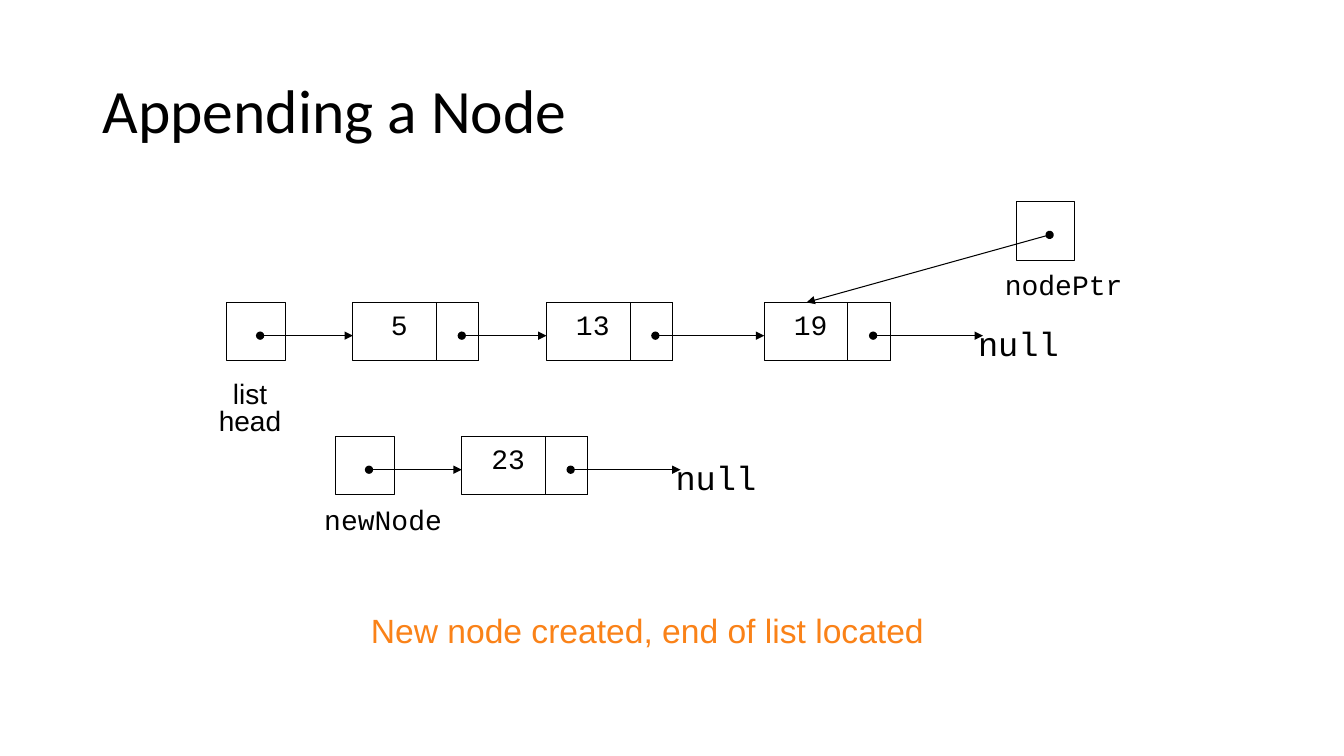
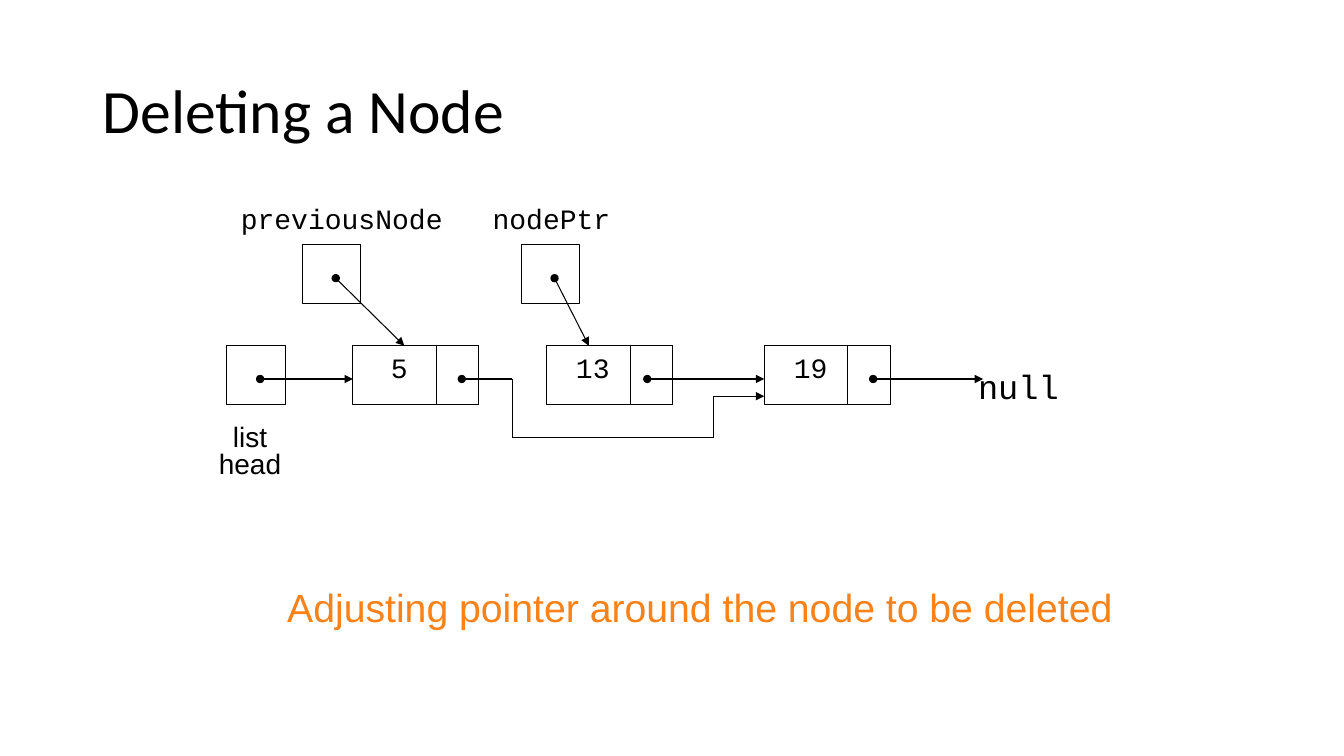
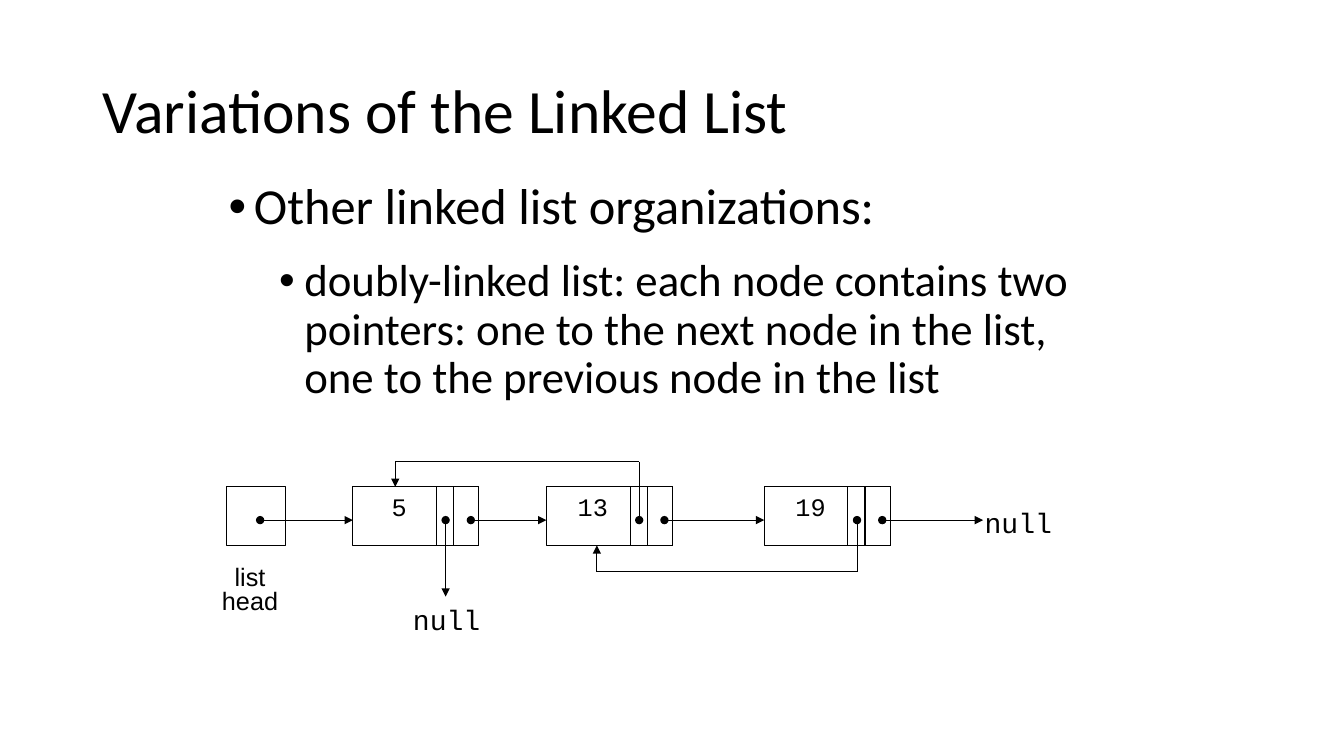
from dataclasses import dataclass
from itertools import pairwise

from lxml import etree
from pptx import Presentation
from pptx import util as u
from pptx.dml.color import RGBColor
from pptx.enum import shapes, text
from pptx.oxml.ns import qn


@dataclass(frozen=True)
class Theme:
    ink: RGBColor = RGBColor(0x00, 0x00, 0x00)
    accent: RGBColor = RGBColor(0xFA, 0x82, 0x18)
    heading: str = "Calibri"
    plain: str = "Arial"
    code: str = "Courier New"
    title_size: int = 44
    bullet_sizes: tuple = (36, 32)
    caption_sizes: tuple = (24, 28)
    null_size: int = 24
    label_size: int = 20
    small_size: int = 18
    line_width: float = 0.75


# Node geometry in inches
BOX = 0.58
NODE_WIDTH = 1.25
LINK_WIDTH = 0.42
BACK_WIDTH = 0.17
DOT = 0.33
HEAD_LEFT = 2.25
NODES = {"5": 3.5, "13": 5.42, "19": 7.58}
NULL_END = 9.75


def apply_formats(target, formats):
    for name, value in formats.items():
        setattr(target, name, value)


class Deck:
    """Holds the style and the slide being drawn."""

    def __init__(self, theme):
        self.theme = theme
        self.presentation = Presentation()
        apply_formats(self.presentation, {"slide_width": u.Inches(13.33),
                                          "slide_height": u.Inches(7.5)})
        self.slide = None

    def new_slide(self, title):
        self.slide = self.presentation.slides.add_slide(
            self.presentation.slide_layouts[6])
        frame = self.frame(0.92, 0.4, 11.5, 1.45, word_wrap=True,
                           vertical_anchor=text.MSO_ANCHOR.MIDDLE)
        self.fill_paragraph(frame.paragraphs[0], title, self.theme.heading,
                            self.theme.title_size, line_spacing=0.9)

    # Text
    def frame(self, left, top, width, height, **formats):
        shape = self.slide.shapes.add_textbox(
            *map(u.Inches, (left, top, width, height)))
        apply_formats(shape.text_frame, formats)
        return shape.text_frame

    def fill_paragraph(self, paragraph, words, font, size, color=None, **formats):
        paragraph.text = words
        apply_formats(paragraph, formats)
        apply_formats(paragraph.font, {"name": font, "size": u.Pt(size)})
        paragraph.font.color.rgb = color or self.theme.ink

    def label(self, lines, center, top, width, size, font=None, spacing=0.8):
        frame = self.frame(center - width / 2, top, width, 0.4, word_wrap=False,
                           auto_size=text.MSO_AUTO_SIZE.SHAPE_TO_FIT_TEXT)
        for index, line in enumerate(lines):
            paragraph = frame.add_paragraph() if index else frame.paragraphs[0]
            self.fill_paragraph(paragraph, line, font or self.theme.code, size,
                                alignment=text.PP_ALIGN.CENTER, line_spacing=spacing)

    def caption(self, words, left, top, width, size, spacing=1.0):
        frame = self.frame(left, top, width, 0.5, word_wrap=False,
                           auto_size=text.MSO_AUTO_SIZE.SHAPE_TO_FIT_TEXT)
        self.fill_paragraph(frame.paragraphs[0], words, self.theme.plain, size,
                            self.theme.accent, line_spacing=spacing)

    def bullets(self, items, left, top, width, height):
        frame = self.frame(left, top, width, height, word_wrap=True)
        for level, words in enumerate(items):
            paragraph = frame.add_paragraph() if level else frame.paragraphs[0]
            size = self.theme.bullet_sizes[level]
            properties = paragraph._p.get_or_add_pPr()
            properties.set("marL", str(u.Inches(0.25 + 0.5 * level)))
            properties.set("indent", str(u.Inches(-0.25)))
            etree.SubElement(properties, qn("a:buFont"), typeface=self.theme.plain)
            etree.SubElement(properties, qn("a:buChar"), char="•")
            self.fill_paragraph(paragraph, words, self.theme.heading, size,
                                level=level, line_spacing=0.9,
                                space_before=u.Pt(size / 2 if level else 0))

    # Boxes and arrows
    def box(self, left, top, width=BOX):
        shape = self.slide.shapes.add_shape(
            shapes.MSO_SHAPE.RECTANGLE, *map(u.Inches, (left, top, width, BOX)))
        shape.shadow.inherit = False
        shape.fill.background()
        self.outline(shape)

    def outline(self, shape):
        shape.line.width = u.Pt(self.theme.line_width)
        shape.line.color.rgb = self.theme.ink

    def arrow(self, *points):
        """Straight segments: a dot at the first point, an arrowhead at the last."""
        segments = list(pairwise(points))
        for index, (start, end) in enumerate(segments):
            connector = self.slide.shapes.add_connector(
                shapes.MSO_CONNECTOR.STRAIGHT, *map(u.Inches, (*start, *end)))
            self.outline(connector)
            properties = connector.element.spPr
            line = properties.find(qn("a:ln"))
            if index == 0:
                etree.SubElement(line, qn("a:headEnd"), type="oval")
            if index == len(segments) - 1:
                etree.SubElement(line, qn("a:tailEnd"), type="triangle")
            etree.SubElement(properties, qn("a:effectLst"))

    # Linked list parts
    def node(self, value, left, top, size, double=False):
        link = left + NODE_WIDTH - LINK_WIDTH
        self.box(left, top, NODE_WIDTH)
        self.box(link, top, LINK_WIDTH)
        if double:
            self.box(link, top, BACK_WIDTH)
        self.label([value], left + 0.46, top, 0.54, size, spacing=1.0)

    def pointer(self, left, top, end):
        self.box(left, top)
        self.arrow((left + DOT, top + DOT), end)

    def null(self, center, top, size):
        self.label(["null"], center, top, 1.01, size, spacing=1.2)

    def linked_list(self, top, size, null_size, double=False, links=("5", "13", "19")):
        """The three-node list; links names the nodes with a straight arrow onward."""
        middle = top + DOT
        self.pointer(HEAD_LEFT, top, (NODES["5"], middle))
        self.label(["list", "head"], 2.48, top + 0.75, 0.83, size, self.theme.plain)
        ends = [*list(NODES.values())[1:], NULL_END]
        for (value, left), end in zip(NODES.items(), ends):
            self.node(value, left, top, size, double)
            if value in links:
                self.arrow((left + (1.17 if double else 1.08), middle), (end, middle))
        self.null(NULL_END + 0.35, top + 0.07, null_size)


def appending(deck):
    theme = deck.theme
    deck.new_slide("Appending a Node")
    deck.linked_list(3, theme.label_size, theme.null_size)
    # New node
    top, left = 4.33, 4.58
    middle = top + DOT
    deck.pointer(3.33, top, (left, middle))
    deck.label(["newNode"], 3.8, 5, 1.38, theme.label_size)
    deck.node("23", left, top, theme.label_size)
    deck.arrow((left + 1.08, middle), (6.75, middle))
    deck.null(7.1, top + 0.07, theme.null_size)
    # Pointer to the last node
    deck.pointer(10.08, 2, (8, 3))
    deck.label(["nodePtr"], 10.55, 2.67, 1.38, theme.label_size)
    deck.caption("New node created, end of list located",
                 3.58, 6, 5.74, theme.caption_sizes[0])


def deleting(deck):
    theme = deck.theme
    top = 3.43
    middle, low, entry = top + DOT, top + 0.91, top + 0.5
    deck.new_slide("Deleting a Node")
    deck.linked_list(top, theme.label_size, theme.null_size, links=("19",))
    # Old link, and the new link around the deleted node
    deck.arrow((6.42, middle), (NODES["19"], middle))
    deck.arrow((4.58, middle), (5.08, middle), (5.08, low), (7.08, low),
               (7.08, entry), (NODES["19"], entry))
    # Named pointers
    for name, left, center, width, target in (("previousNode", 3, 3.39, 2.22, 4.01),
                                              ("nodePtr", 5.17, 5.47, 1.38, 5.84)):
        deck.pointer(left, 2.43, (target, top))
        deck.label([name], center, 2.01, width, theme.label_size)
    deck.caption("Adjusting pointer around the node to be deleted",
                 2.75, 5.83, 8.49, theme.caption_sizes[1], 0.8)


def variations(deck):
    theme = deck.theme
    top = 4.83
    middle, above, below = top + DOT, top - 0.25, top + 0.84
    deck.new_slide("Variations of the Linked List")
    deck.bullets(["Other linked list organizations:",
                  "doubly-linked list: each node contains two pointers: one to the "
                  "next node in the list, one to the previous node in the list"],
                 2.17, 1.75, 9.08, 2.33)
    deck.linked_list(top, theme.small_size, theme.label_size, double=True)
    # Backward links
    back = {value: left + 0.92 for value, left in NODES.items()}
    deck.arrow((back["5"], middle), (back["5"], 5.92))
    deck.null(4.43, 5.86, theme.label_size)
    deck.arrow((back["13"], middle), (back["13"], above), (3.92, above), (3.92, top))
    deck.arrow((back["19"], middle), (back["19"], below), (5.92, below),
               (5.92, top + BOX))


def main():
    deck = Deck(Theme())
    for build in (appending, deleting, variations):
        build(deck)
    deck.presentation.save("out.pptx")


if __name__ == "__main__":
    main()
